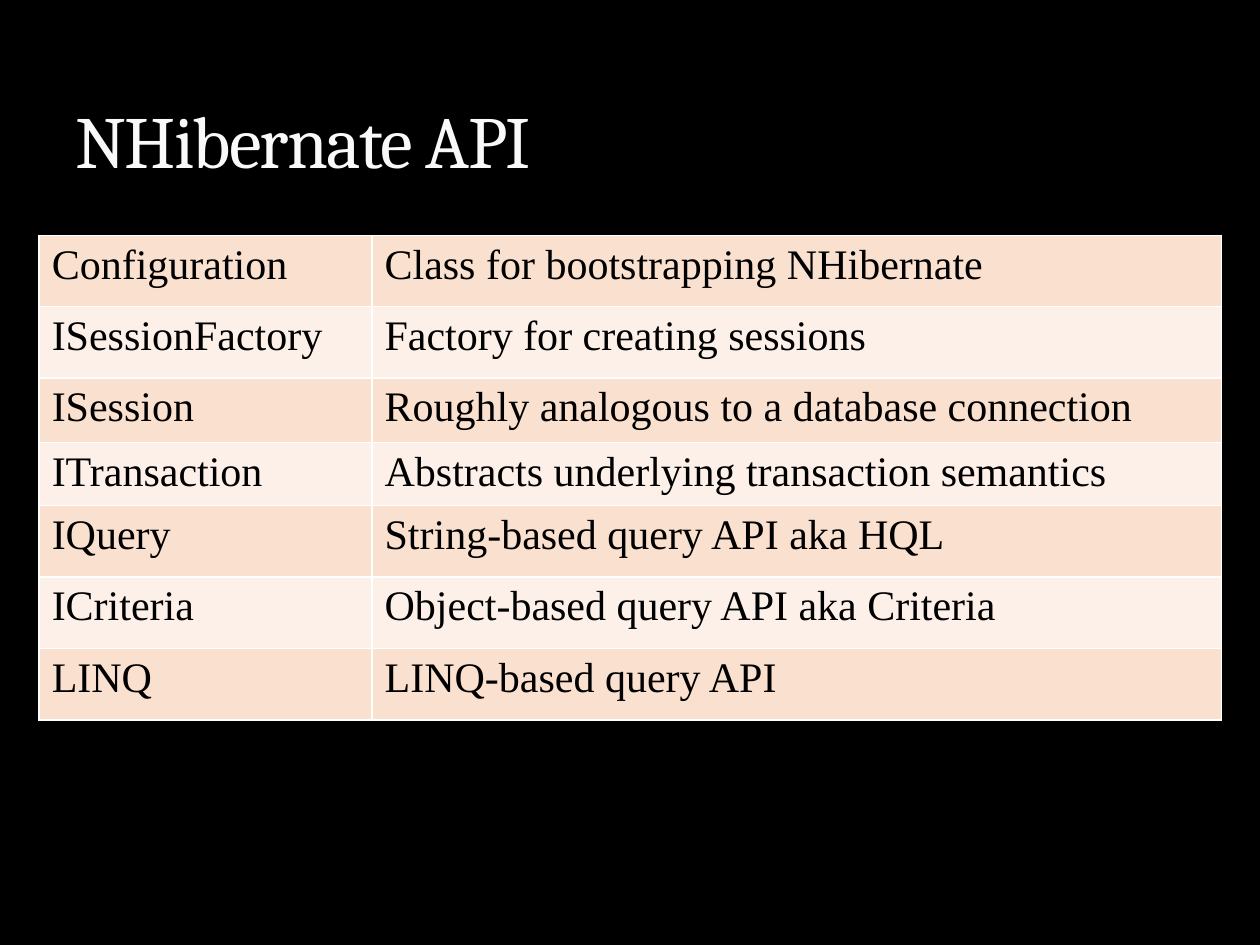
from lxml import etree
from pptx import Presentation
from pptx import util as u
from pptx.dml.color import RGBColor
from pptx.enum import text
from pptx.oxml import ns

TITLE = "NHibernate API"
API_ROWS = [
    ("Configuration", "Class for bootstrapping NHibernate", 1.43),
    ("ISessionFactory", "Factory for creating sessions", 1.44),
    ("ISession", "Roughly analogous to a database connection", 1.3),
    ("ITransaction", "Abstracts underlying transaction semantics", 1.21),
    ("IQuery", "String-based query API aka HQL", 1.44),
    ("ICriteria", "Object-based query API aka Criteria", 1.44),
    ("LINQ", "LINQ-based query API", 1.44),
]
COLUMN_WIDTHS = (6.71, 17.12)

BLACK = RGBColor(0x00, 0x00, 0x00)
WHITE = RGBColor(0xFF, 0xFF, 0xFF)
TITLE_COLOR = RGBColor(0xF9, 0xF9, 0xF9)
BANDS = (RGBColor(0xFA, 0xE0, 0xCF), RGBColor(0xFD, 0xF0, 0xE9))


def add_span(para, words, font, size, color):
    span = para.add_run()
    span.text = words
    span.font.name = font
    span.font.size = u.Pt(size)
    span.font.color.rgb = color
    return span


def add_borders(cell):
    properties = cell._tc.get_or_add_tcPr()
    for side in ("a:lnL", "a:lnR", "a:lnT", "a:lnB"):
        line = etree.SubElement(properties, ns.qn(side), w=str(u.Pt(1)))
        fill = etree.SubElement(line, ns.qn("a:solidFill"))
        etree.SubElement(fill, ns.qn("a:srgbClr"), val=str(WHITE))


def add_title(page):
    box = page.shapes.add_textbox(u.Cm(1.27), u.Cm(0.43), u.Cm(22.86), u.Cm(3.38))
    frame = box.text_frame
    frame.word_wrap = True
    frame.vertical_anchor = text.MSO_ANCHOR.BOTTOM
    span = add_span(frame.paragraphs[0], TITLE, "Cambria", 42, TITLE_COLOR)
    span.font._element.set("spc", "-100")


def add_api_table(page):
    height = sum(row[-1] for row in API_ROWS)
    table = page.shapes.add_table(
        len(API_ROWS), len(COLUMN_WIDTHS),
        u.Cm(0.79), u.Cm(4.75), u.Cm(sum(COLUMN_WIDTHS)), u.Cm(height),
    ).table
    table.first_row = False
    for column, width in zip(table.columns, COLUMN_WIDTHS):
        column.width = u.Cm(width)
    for index, (*words, row_height) in enumerate(API_ROWS):
        table.rows[index].height = u.Cm(row_height)
        for cell, entry in zip(table.rows[index].cells, words):
            add_borders(cell)
            cell.fill.solid()
            cell.fill.fore_color.rgb = BANDS[index % 2]
            para = cell.text_frame.paragraphs[0]
            add_span(para, entry, "Times New Roman", 24, BLACK)


def main():
    deck = Presentation()
    deck.slide_width, deck.slide_height = u.Cm(25.4), u.Cm(19.05)
    page = deck.slides.add_slide(deck.slide_layouts[6])
    page.background.fill.solid()
    page.background.fill.fore_color.rgb = BLACK
    add_title(page)
    add_api_table(page)
    deck.save("out.pptx")


if __name__ == "__main__":
    main()
